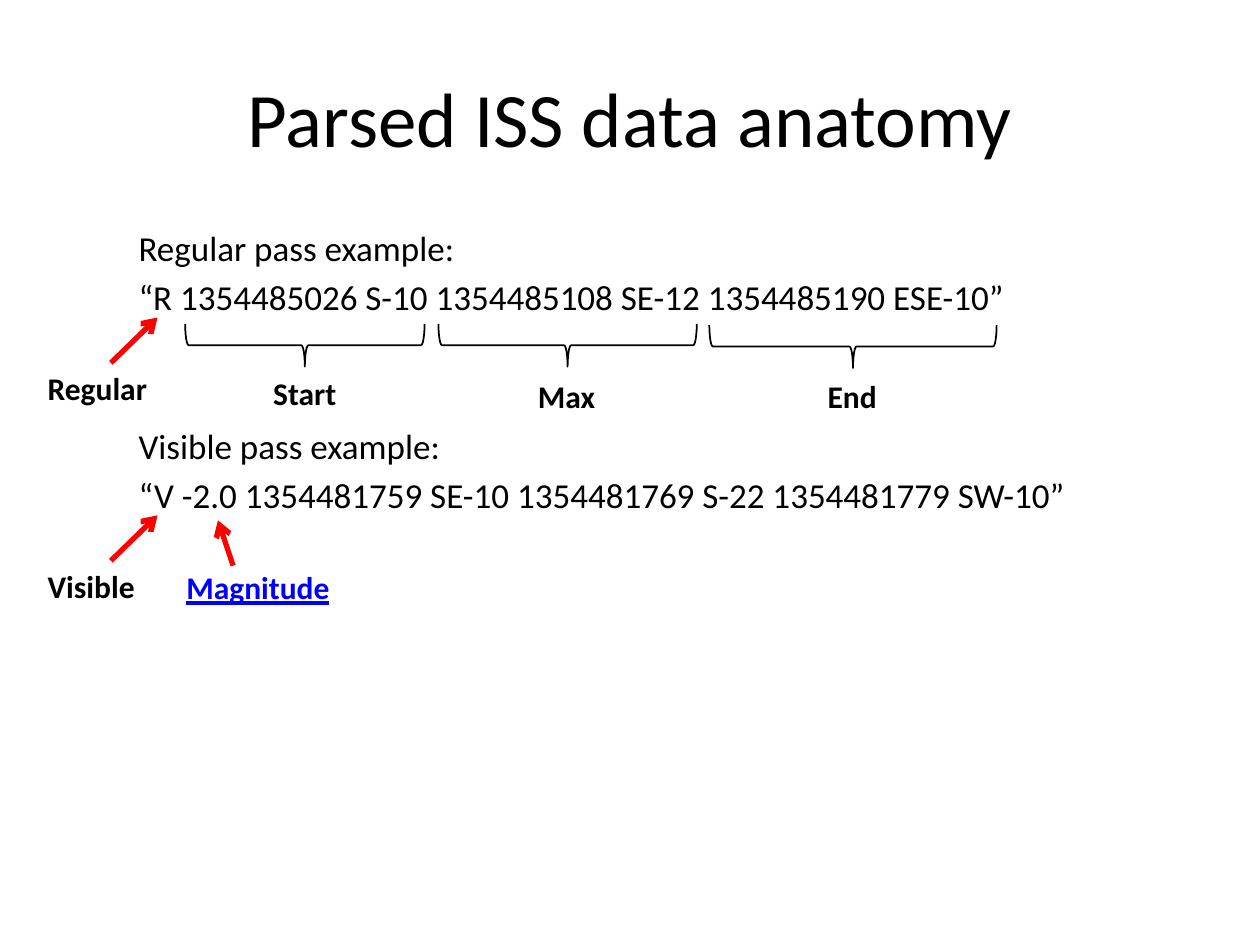
from dataclasses import dataclass

from lxml import etree
from pptx import Presentation
from pptx.dml.color import RGBColor
from pptx.enum.shapes import MSO_CONNECTOR, MSO_SHAPE
from pptx.enum.text import MSO_ANCHOR, MSO_AUTO_SIZE, PP_ALIGN
from pptx.oxml.ns import qn
from pptx.util import Inches, Pt

STRAIGHT = MSO_CONNECTOR.STRAIGHT
LEFT_BRACE = MSO_SHAPE.LEFT_BRACE
TOP, MIDDLE = MSO_ANCHOR.TOP, MSO_ANCHOR.MIDDLE
NO_FIT, FIT_SHAPE = MSO_AUTO_SIZE.NONE, MSO_AUTO_SIZE.SHAPE_TO_FIT_TEXT
LEFT, CENTER = PP_ALIGN.LEFT, PP_ALIGN.CENTER


@dataclass(frozen=True)
class Theme:
    font: str = "Calibri"
    ink: str = "000000"
    arrow: str = "FF0000"
    link: str = "0000FF"
    title_size: int = 44
    body_size: int = 20
    label_size: int = 18
    arrow_width: int = 3
    brace_width: int = 1


def write(p, text, *, font, size, color, bold=False, underline=False,
          align=LEFT, before=0):
    p.alignment = align
    p.space_before = Pt(before)
    r = p.add_run()
    r.text = text
    r.font.name = font
    r.font.size = Pt(size)
    r.font.bold = bold
    r.font.underline = underline
    r.font.color.rgb = RGBColor.from_string(color)


class SlideBuilder:
    def __init__(self, slide, theme):
        self.slide = slide
        self.theme = theme

    def text_frame(self, x, y, w, h, wrap=True, fit=NO_FIT, anchor=TOP):
        box = self.slide.shapes.add_textbox(*map(Inches, (x, y, w, h)))
        tf = box.text_frame
        tf.word_wrap = wrap
        tf.auto_size = fit
        tf.vertical_anchor = anchor
        return tf

    def title(self, text):
        t = self.theme
        tf = self.text_frame(0.5, 0.3, 9, 1.25, anchor=MIDDLE)
        write(tf.paragraphs[0], text, font=t.font, size=t.title_size,
              color=t.ink, align=CENTER)

    def body(self, lines):
        """Write (text, space before in points) pairs as indented paragraphs."""
        t = self.theme
        tf = self.text_frame(0.5, 1.75, 9, 4.95)
        tf.margin_left = Inches(0.6)
        for i, (text, before) in enumerate(lines):
            p = tf.add_paragraph() if i else tf.paragraphs[0]
            write(p, text, font=t.font, size=t.body_size, color=t.ink,
                  before=before)

    def label(self, text, x, y, w, color=None, underline=False):
        t = self.theme
        tf = self.text_frame(x, y, w, 0.4, wrap=False, fit=FIT_SHAPE)
        write(tf.paragraphs[0], text, font=t.font, size=t.label_size,
              color=color or t.ink, bold=True, underline=underline)

    def arrow(self, x1, y1, x2, y2):
        line = self.slide.shapes.add_connector(
            STRAIGHT, *map(Inches, (x1, y1, x2, y2)))
        line.line.color.rgb = RGBColor.from_string(self.theme.arrow)
        line.line.width = Pt(self.theme.arrow_width)
        etree.SubElement(line.line._get_or_add_ln(), qn("a:tailEnd"),
                         type="arrow")
        etree.SubElement(line._element.spPr, qn("a:effectLst"))

    def brace_below(self, x, y, w, depth=0.34):
        """Draw a brace pointing down, with its visible left top at x, y."""
        left, top = x + (w - depth) / 2, y + (depth - w) / 2
        sp = self.slide.shapes.add_shape(
            LEFT_BRACE, *map(Inches, (left, top, depth, w)))
        sp.rotation = 270
        sp.shadow.inherit = False
        sp.fill.background()
        sp.line.color.rgb = RGBColor.from_string(self.theme.ink)
        sp.line.width = Pt(self.theme.brace_width)


def main():
    prs = Presentation()
    prs.slide_width, prs.slide_height = Inches(10), Inches(7.5)
    theme = Theme()
    s = SlideBuilder(prs.slides.add_slide(prs.slide_layouts[6]), theme)

    s.title("Parsed ISS data anatomy")
    s.body([
        ("Regular pass example:", 4),
        ("“R 1354485026 S-10 1354485108 SE-12 1354485190 ESE-10”", 4),
        ("Visible pass example:", 61),
        ("“V -2.0 1354481759 SE-10 1354481769 S-22 1354481779 SW-10”", 4),
    ])

    for text, x, y, w in [("Start", 2.07, 2.92, 0.71),
                          ("Max", 4.17, 2.94, 0.66),
                          ("End", 6.47, 2.94, 0.59)]:
        s.label(text, x, y, w)
    for x, y, w in [(1.47, 2.57, 1.9), (3.48, 2.57, 2.05), (5.63, 2.58, 2.28)]:
        s.brace_below(x, y, w)

    for text, y, w in [("Regular", 2.88, 1), ("Visible", 4.45, 0.9)]:
        s.label(text, 0.28, y, w)
        s.arrow(0.88, y, 1.25, y - 0.36)

    s.label("Magnitude", 1.38, 4.46, 1.35, color=theme.link, underline=True)
    s.arrow(1.85, 4.49, 1.73, 4.13)

    prs.save("out.pptx")


if __name__ == "__main__":
    main()
